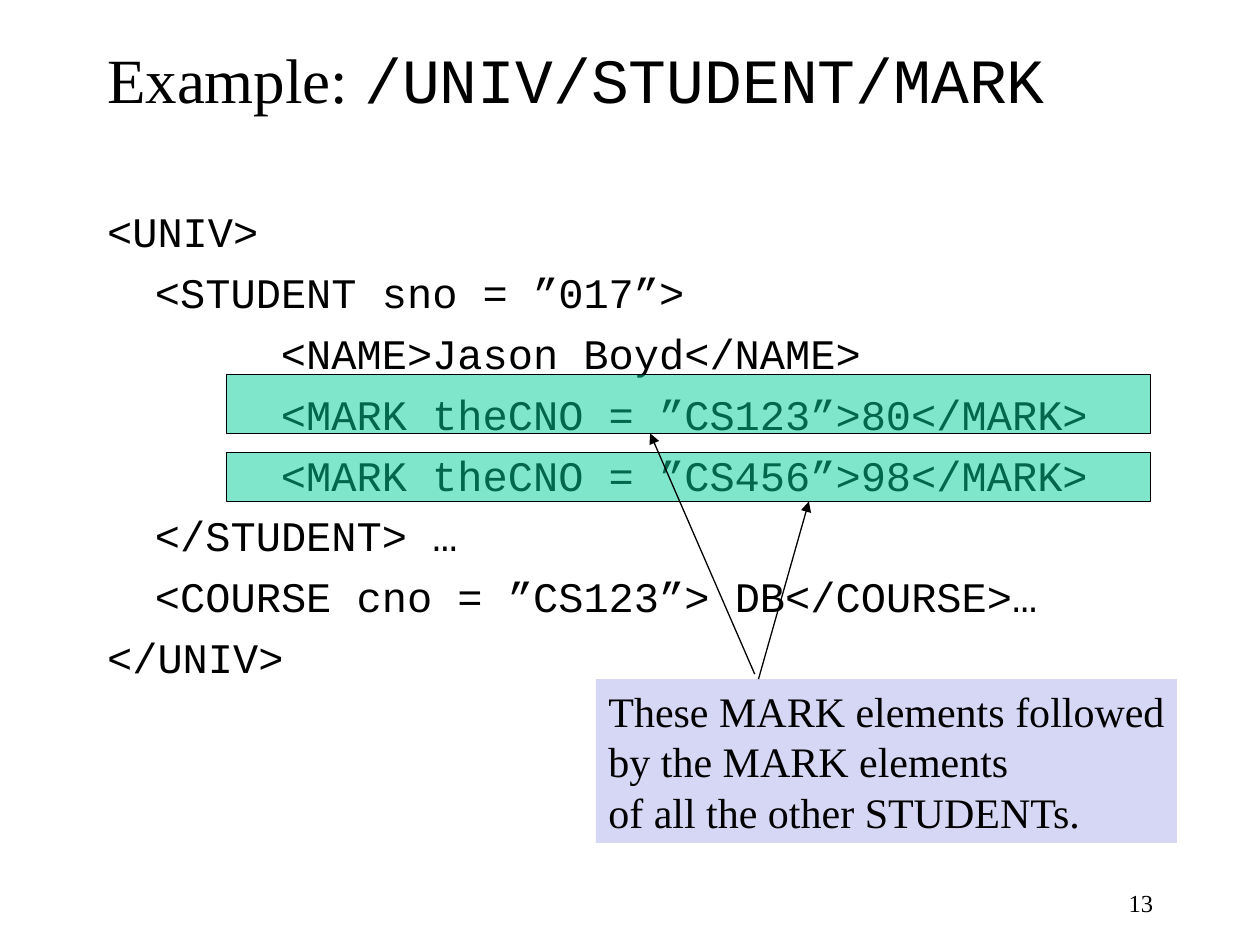
from lxml import etree
from pptx import Presentation
from pptx.dml.color import RGBColor
from pptx.enum.shapes import MSO_CONNECTOR, MSO_SHAPE
from pptx.enum.text import MSO_ANCHOR, MSO_AUTO_SIZE, PP_ALIGN
from pptx.oxml.ns import qn
from pptx.util import Inches, Pt

LEFT, RIGHT = PP_ALIGN.LEFT, PP_ALIGN.RIGHT
TOP, MIDDLE = MSO_ANCHOR.TOP, MSO_ANCHOR.MIDDLE
FIXED = MSO_AUTO_SIZE.NONE
RECT, LINE = MSO_SHAPE.RECTANGLE, MSO_CONNECTOR.STRAIGHT

BLACK = RGBColor(0x00, 0x00, 0x00)
GREEN = RGBColor(0x00, 0xCC, 0x99)
LILAC = RGBColor(0xD6, 0xD6, 0xF5)

SERIF, MONO = "Times New Roman", "Courier New"
LEAD = Pt(28.8)

# Left indent of each nesting depth, in inches
INDENTS = (0, 0.38, 1.38)

# Nesting depth and text of each code line
CODE = [
    (0, "<UNIV>"),
    (1, "<STUDENT sno = ”017”>"),
    (2, "<NAME>Jason Boyd</NAME>"),
    (2, "<MARK theCNO = ”CS123”>80</MARK>"),
    (2, "<MARK theCNO = ”CS456”>98</MARK>"),
    (1, "</STUDENT> …"),
    (1, "<COURSE cno = ”CS123”> DB</COURSE>…"),
    (0, "</UNIV>"),
]
NOTE = [
    "These MARK elements followed",
    "by the MARK elements",
    "of all the other STUDENTs.",
]


def apply(item, values):
    for name, value in values.items():
        setattr(item, name, value)


def place(shape, *box):
    names = ("left", "top", "width", "height")
    apply(shape, dict(zip(names, map(Inches, box))))


def add_run(para, text, face, size):
    run = para.add_run()
    run.text = text
    apply(run.font, {"name": face, "size": Pt(size)})
    run.font.color.rgb = BLACK


def add_lines(frame, lines, face, size, form):
    for i, text in enumerate(lines):
        para = frame.add_paragraph() if i else frame.paragraphs[0]
        apply(para, form)
        add_run(para, text, face, size)


def indent(para, depth):
    """Left indent by nesting depth, without a bullet."""
    props = para._p.get_or_add_pPr()
    props.set("marL", str(Inches(INDENTS[depth])))
    props.set("indent", "0")
    etree.SubElement(props, qn("a:buNone"))


def add_title(slide):
    title = slide.shapes.title
    place(title, 0.75, 0, 8.5, 1.25)
    apply(title.text_frame, {"vertical_anchor": MIDDLE, "auto_size": FIXED})
    para = title.text_frame.paragraphs[0]
    para.alignment = LEFT
    add_run(para, "Example: ", SERIF, 36)
    add_run(para, "/UNIV/STUDENT/MARK", MONO, 36)


def add_code(slide):
    body = slide.placeholders[1]
    place(body, 0.75, 1.58, 8.5, 5.08)
    frame = body.text_frame
    apply(frame, {"vertical_anchor": TOP, "auto_size": FIXED})
    depths, lines = zip(*CODE)
    form = {"alignment": LEFT, "space_before": Pt(6), "line_spacing": LEAD}
    add_lines(frame, lines, MONO, 24, form)
    for para, depth in zip(frame.paragraphs, depths):
        indent(para, depth)


def add_box(slide, box, color):
    shape = slide.shapes.add_shape(RECT, *map(Inches, box))
    shape.shadow.inherit = False
    shape.fill.solid()
    shape.fill.fore_color.rgb = color
    return shape


def add_mark(slide, top, height):
    """Half-clear band over one line of code."""
    mark = add_box(slide, (1.8, top, 7.33, height), GREEN)
    mark.line.color.rgb = BLACK
    mark.line.width = Pt(0.75)
    color = mark.fill._xPr.find(qn("a:solidFill"))[0]
    etree.SubElement(color, qn("a:alpha"), val="50000")


def add_note(slide):
    note = add_box(slide, (4.73, 5.39, 4.61, 1.3), LILAC)
    note.line.fill.background()
    frame = note.text_frame
    apply(frame, {"vertical_anchor": TOP, "word_wrap": False})
    form = {"alignment": LEFT, "line_spacing": LEAD}
    add_lines(frame, NOTE, SERIF, 24, form)


def add_arrow(slide, *ends):
    arrow = slide.shapes.add_connector(LINE, *map(Inches, ends))
    arrow.line.color.rgb = BLACK
    arrow.line.width = Pt(0.75)
    etree.SubElement(arrow.line._get_or_add_ln(), qn("a:tailEnd"), type="triangle")
    etree.SubElement(arrow._element.spPr, qn("a:effectLst"))


def add_number(slide):
    box = slide.shapes.add_textbox(*map(Inches, (7.17, 7, 2.08, 0.33)))
    box.text_frame.word_wrap = True
    add_lines(box.text_frame, ["13"], SERIF, 14, {"alignment": RIGHT})


def main():
    deck = Presentation()
    apply(deck, {"slide_width": Inches(10), "slide_height": Inches(7.5)})
    slide = deck.slides.add_slide(deck.slide_layouts[1])

    # Title, code and page number
    add_title(slide)
    add_code(slide)
    add_number(slide)

    # Marked lines and the note that points at them
    add_mark(slide, 2.97, 0.47)
    add_mark(slide, 3.59, 0.39)
    add_note(slide)
    add_arrow(slide, 5.99, 5.35, 5.16, 3.44)
    add_arrow(slide, 6.02, 5.39, 6.42, 3.98)

    deck.save("out.pptx")


if __name__ == "__main__":
    main()
